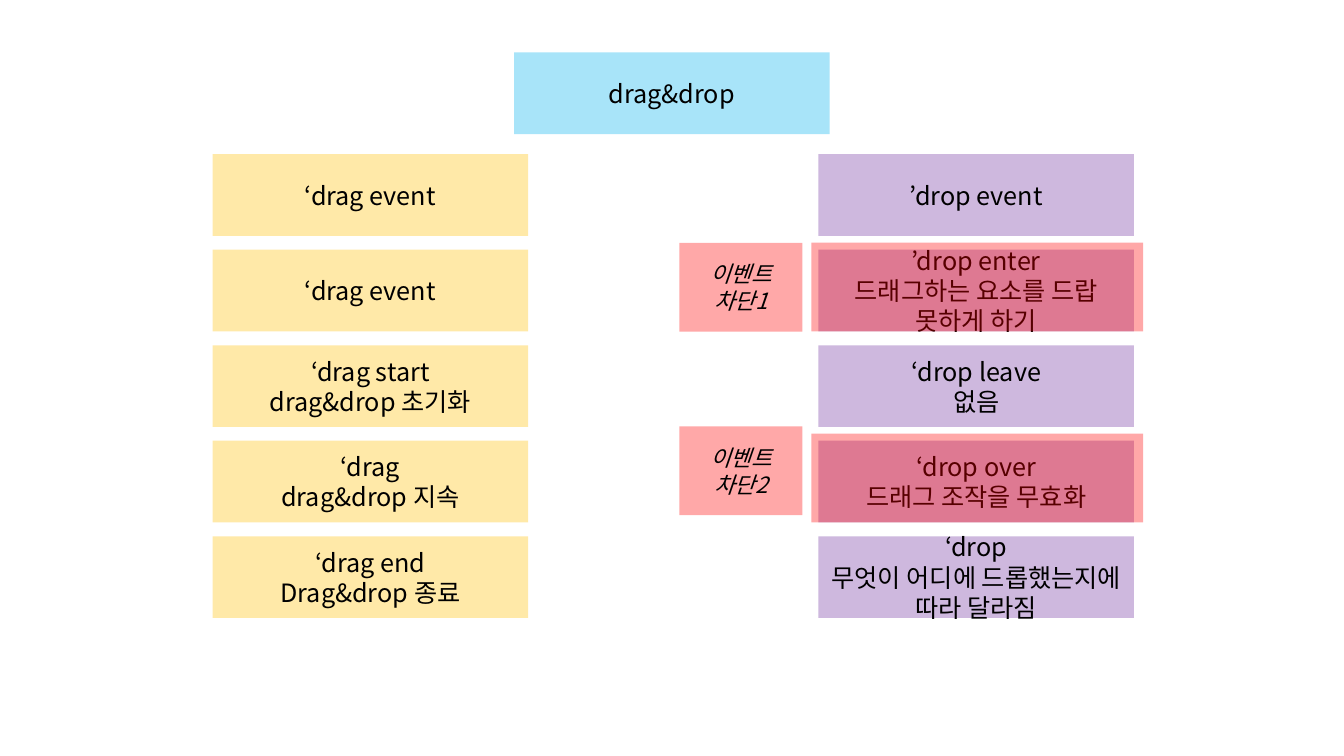
from lxml.etree import SubElement
from pptx import Presentation
from pptx.dml.color import RGBColor
from pptx.enum.shapes import MSO_SHAPE
from pptx.enum.text import MSO_ANCHOR, PP_ALIGN
from pptx.oxml.ns import qn
from pptx.util import Inches, Pt

FONT = "Noto Sans CJK KR"
BLUE, YELLOW, PURPLE, RED = "00B0F0", "FFC000", "7030A0", "FF0000"

TITLE = ["drag&drop"]
DRAG_EVENTS = [
    ["‘drag event"],
    ["‘drag event"],
    ["‘drag start", "drag&drop 초기화"],
    ["‘drag", "drag&drop 지속"],
    ["‘drag end", "Drag&drop 종료"],
]
DROP_EVENTS = [
    ["’drop event"],
    ["’drop enter", "드래그하는 요소를 드랍 못하게 하기"],
    ["‘drop leave", "없음"],
    ["‘drop over", "드래그 조작을 무효화"],
    ["‘drop", "무엇이 어디에 드롭했는지에 따라 달라짐"],
]
COLUMNS = [(2.11, YELLOW, DRAG_EVENTS), (8.12, PURPLE, DROP_EVENTS)]
BLOCKS = [
    (1, 2.41, ["이벤트", "차단1"]),
    (3, 4.23, ["이벤트", "차단2"]),
]

CARD_W, CARD_H = 3.13, 0.81
FIRST_ROW, ROW_STEP = 1.53, 0.9475
FRAME_X, FRAME_W, FRAME_H, FRAME_RISE = 8.05, 3.29, 0.88, 0.07
BLOCK_X, BLOCK_W = 6.74, 1.22

deck = Presentation()
deck.slide_width, deck.slide_height = Inches(13.333), Inches(7.5)
slide = deck.slides.add_slide(deck.slide_layouts[6])


def color(hex_code):
    return RGBColor.from_string(hex_code)


def write(frame, lines, size=18, italic=None):
    frame.word_wrap = True
    frame.vertical_anchor = MSO_ANCHOR.MIDDLE
    for index, line in enumerate(lines):
        paragraph = frame.add_paragraph() if index else frame.paragraphs[0]
        paragraph.alignment = PP_ALIGN.CENTER
        run = paragraph.add_run()
        run.text = line
        run.font.size = Pt(size)
        run.font.italic = italic
        run.font.color.rgb = color("000000")
        run.font.name = FONT
        SubElement(run.font._element, qn("a:ea"), typeface=FONT)


def add_box(left, top, width, height, fill, lines=(), **text_format):
    box = slide.shapes.add_shape(
        MSO_SHAPE.RECTANGLE, Inches(left), Inches(top), Inches(width), Inches(height))
    box.shadow.inherit = False
    box.line.fill.background()
    box.fill.solid()
    box.fill.fore_color.rgb = color(fill)
    tint = box._element.spPr.find(qn("a:solidFill"))[0]
    SubElement(tint, qn("a:alpha"), val="34000")
    write(box.text_frame, lines, **text_format)


def row_top(row):
    return FIRST_ROW + row * ROW_STEP


add_box((13.33 - CARD_W) / 2, 0.52, CARD_W, CARD_H, BLUE, TITLE)

for left, fill, events in COLUMNS:
    for row, lines in enumerate(events):
        add_box(left, row_top(row), CARD_W, CARD_H, fill, lines)

for row, block_top, lines in BLOCKS:
    add_box(FRAME_X, row_top(row) - FRAME_RISE, FRAME_W, FRAME_H, RED)
    add_box(BLOCK_X, block_top, BLOCK_W, FRAME_H, RED, lines, size=16, italic=True)

deck.save("out.pptx")
